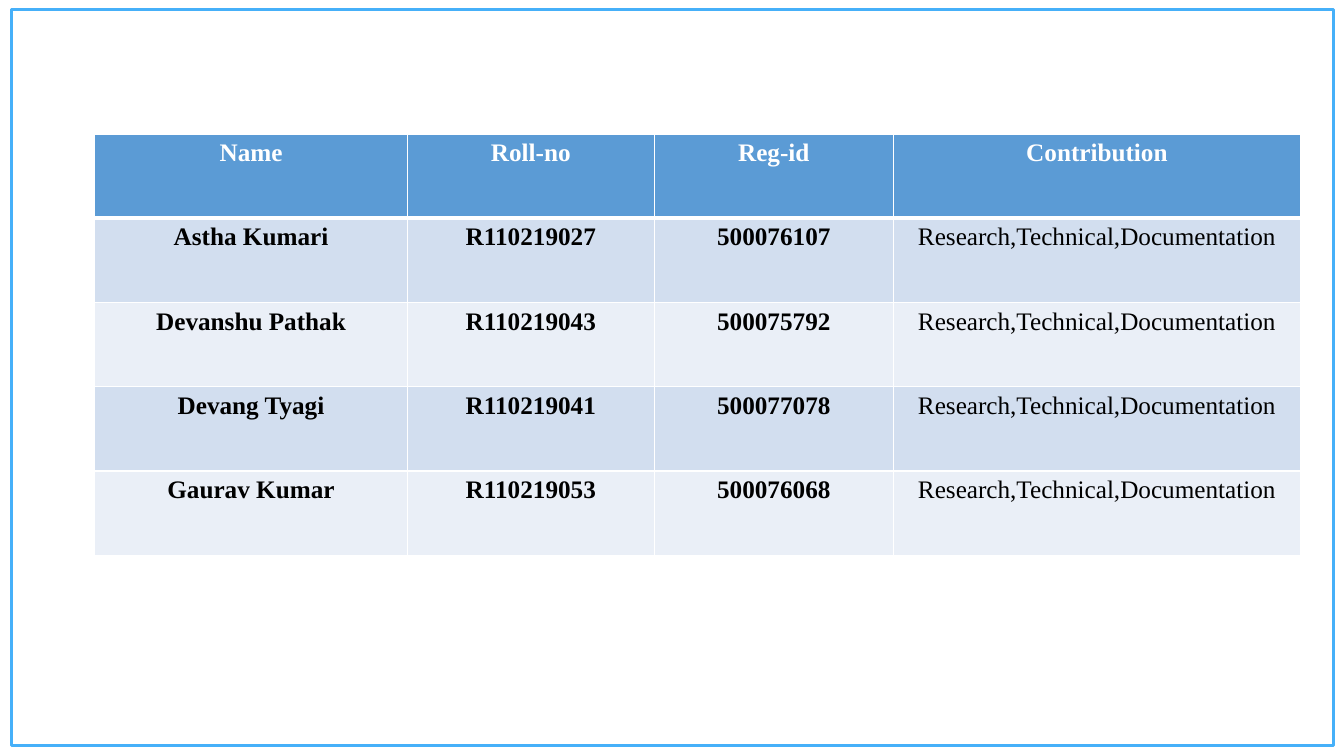
"""Build the team contribution slide."""
from lxml.etree import SubElement
from pptx import Presentation
from pptx.dml.color import RGBColor
from pptx.enum.shapes import MSO_SHAPE
from pptx.enum.text import PP_ALIGN
from pptx.oxml.ns import qn
from pptx.util import Inches, Pt

WHITE = RGBColor(0xFF, 0xFF, 0xFF)
BLACK = RGBColor(0x00, 0x00, 0x00)
SKY = RGBColor(0x46, 0xB0, 0xF9)
BLUE = RGBColor(0x5B, 0x9B, 0xD5)
BANDS = (RGBColor(0xEA, 0xEF, 0xF7), RGBColor(0xD2, 0xDE, 0xEF))

FONT = {"name": "Times New Roman", "size": Pt(18)}
HEADS = ("Name", "Roll-no", "Reg-id", "Contribution")
TEAM = (
    ("Astha Kumari", "R110219027", "500076107"),
    ("Devanshu Pathak", "R110219043", "500075792"),
    ("Devang Tyagi", "R110219041", "500077078"),
    ("Gaurav Kumar", "R110219053", "500076068"),
)
WORK = "Research,Technical,Documentation"
WIDTHS = (3.1, 2.45, 2.37, 4.04)


def add_frame(slide, left, top, width, height):
    """Draw the outline around the slide."""
    frame = slide.shapes.add_shape(
        MSO_SHAPE.RECTANGLE, *map(Inches, (left, top, width, height)))
    frame.shadow.inherit = False
    frame.fill.background()
    frame.line.color.rgb = SKY
    frame.line.width = Pt(2.25)


def add_edges(cell, top, base):
    """Give a cell white borders, with top and base widths in points."""
    props = cell._tc.get_or_add_tcPr()
    for side, width in {"L": 1, "R": 1, "T": top, "B": base}.items():
        edge = SubElement(props, qn(f"a:ln{side}"), w=str(Pt(width)))
        fill = SubElement(edge, qn("a:solidFill"))
        SubElement(fill, qn("a:srgbClr"), val=str(WHITE))


def fill_cell(cell, text, fill, style):
    """Write centred text on a plain fill."""
    cell.fill.solid()
    cell.fill.fore_color.rgb = fill
    para = cell.text_frame.paragraphs[0]
    para.alignment = PP_ALIGN.CENTER
    run = para.add_run()
    run.text = text
    run.font.color.rgb = style["color"]
    for key, value in {**FONT, "bold": style["bold"]}.items():
        setattr(run.font, key, value)


def add_team(slide, left, top, width, height):
    """Place the team table in the given box."""
    rows = [HEADS] + [(*person, WORK) for person in TEAM]
    table = slide.shapes.add_table(
        len(rows), len(HEADS),
        *map(Inches, (left, top, width, height))).table
    for column, size in zip(table.columns, WIDTHS):
        column.width = Inches(size)
    for r, texts in enumerate(rows):
        table.rows[r].height = Inches(height / len(rows))
        for c, text in enumerate(texts):
            cell = table.cell(r, c)
            add_edges(cell, 3 if r == 1 else 1, 3 if r == 0 else 1)
            style = {"color": BLACK if r else WHITE,
                     "bold": r == 0 or text != WORK}
            fill_cell(cell, text, BANDS[r % 2] if r else BLUE, style)


def main():
    """Create the slide and save it."""
    deck = Presentation()
    deck.slide_width, deck.slide_height = Inches(13.33), Inches(7.5)
    slide = deck.slides.add_slide(deck.slide_layouts[6])
    add_frame(slide, 0.11, 0.09, 13.12, 7.31)
    add_team(slide, 0.94, 1.33, sum(WIDTHS), 4.18)
    deck.save("out.pptx")


if __name__ == "__main__":
    main()
